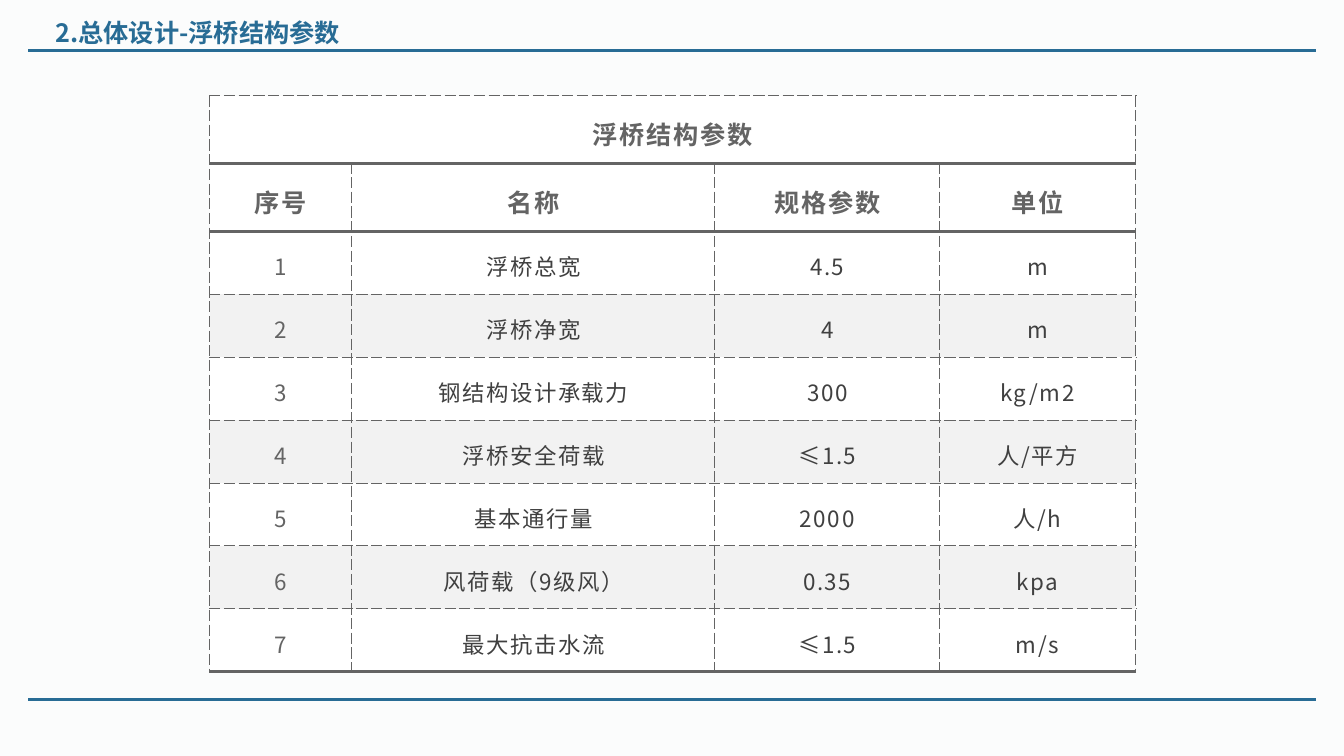
from lxml import etree
from pptx import Presentation
from pptx.dml.color import RGBColor
from pptx.enum.shapes import MSO_CONNECTOR
from pptx.enum.text import MSO_ANCHOR, MSO_AUTO_SIZE, PP_ALIGN
from pptx.oxml.ns import qn
from pptx.util import Inches, Pt

STRAIGHT = MSO_CONNECTOR.STRAIGHT
MIDDLE = MSO_ANCHOR.MIDDLE
NO_AUTOFIT = MSO_AUTO_SIZE.NONE
LEFT, CENTER = PP_ALIGN.LEFT, PP_ALIGN.CENTER

BACKGROUND = RGBColor(0xFB, 0xFC, 0xFC)
BLUE = RGBColor(0x28, 0x6C, 0x95)
GRAY = RGBColor(0x64, 0x64, 0x64)
DARK = RGBColor(0x40, 0x40, 0x40)
WHITE = RGBColor(0xFF, 0xFF, 0xFF)
BAND = RGBColor(0xF2, 0xF2, 0xF2)
FONT = "Noto Sans CJK SC"

PARAMETERS = [
    ("浮桥结构参数", "", "", ""),
    ("序号", "名称", "规格参数", "单位"),
    ("1", "浮桥总宽", "4.5", "m"),
    ("2", "浮桥净宽", "4", "m"),
    ("3", "钢结构设计承载力", "300", "kg/m2"),
    ("4", "浮桥安全荷载", "≤1.5", "人/平方"),
    ("5", "基本通行量", "2000", "人/h"),
    ("6", "风荷载（9级风）", "0.35", "kpa"),
    ("7", "最大抗击水流", "≤1.5", "m/s"),
]
HEADING_ROWS = 2
THICK_EDGES = {1, 2, len(PARAMETERS)}
COLUMN_WIDTHS = [1.41, 3.6, 2.23, 1.94]
HEADING_HEIGHT, DATA_HEIGHT = 0.61, 0.57
CELL_FORMAT = {
    "margin_left": Inches(0.19),
    "margin_right": Inches(0.19),
    "margin_top": Inches(0.12),
    "margin_bottom": Inches(0.12),
    "vertical_anchor": MIDDLE,
}
HEADING_FONT = {"size": Pt(18), "bold": True}
DATA_FONT = {"size": Pt(16), "bold": False}


def apply(target, values):
    for name, value in values.items():
        setattr(target, name, value)


class ParameterSlide:
    def __init__(self, presentation):
        self.slide = presentation.slides.add_slide(presentation.slide_layouts[5])
        self.slide.background.fill.solid()
        self.slide.background.fill.fore_color.rgb = BACKGROUND

    def rule(self, y):
        line = self.slide.shapes.add_connector(
            STRAIGHT, Inches(0.28), Inches(y), Inches(13.05), Inches(y))
        line.line.color.rgb = BLUE
        line.line.width = Pt(1.75)
        etree.SubElement(line._element.spPr, qn("a:effectLst"))

    def add_text(self, paragraph, text, color, font_format, spacing=0):
        run = paragraph.add_run()
        run.text = text
        apply(run.font, {"name": FONT, **font_format})
        run.font.color.rgb = color
        properties = run._r.get_or_add_rPr()
        properties.set("spc", str(spacing))
        etree.SubElement(properties, qn("a:ea"), typeface=FONT)

    def title(self, text):
        title = self.slide.shapes.title
        apply(title, {"left": Inches(0.45), "top": Inches(0.14),
                      "width": Inches(6.66), "height": Inches(0.4)})
        apply(title.text_frame, {"word_wrap": True, "auto_size": NO_AUTOFIT,
                                 "vertical_anchor": MIDDLE})
        paragraph = title.text_frame.paragraphs[0]
        apply(paragraph, {"alignment": LEFT, "line_spacing": 0.9})
        self.add_text(paragraph, text, BLUE, HEADING_FONT)

    def border(self, cell, side, thick):
        """Draw one cell edge: solid when thick, otherwise dashed."""
        line = etree.SubElement(cell._tc.get_or_add_tcPr(), qn(f"a:ln{side}"),
                                w=str(Pt(2.25 if thick else 0.75)))
        fill = etree.SubElement(line, qn("a:solidFill"))
        etree.SubElement(fill, qn("a:srgbClr"), val=str(GRAY))
        etree.SubElement(line, qn("a:prstDash"), val="solid" if thick else "sysDash")

    def cell(self, cell, text, row, column):
        heading = row < HEADING_ROWS
        for side, thick in (("L", False), ("R", False),
                            ("T", row in THICK_EDGES), ("B", row + 1 in THICK_EDGES)):
            self.border(cell, side, thick)
        cell.fill.solid()
        cell.fill.fore_color.rgb = BAND if not heading and row % 2 else WHITE
        apply(cell, CELL_FORMAT)
        if text:
            paragraph = cell.text_frame.paragraphs[0]
            apply(paragraph, {"alignment": CENTER, "line_spacing": 1.2})
            self.add_text(paragraph, text, GRAY if heading or column == 0 else DARK,
                          HEADING_FONT if heading else DATA_FONT, 130 if heading else 120)

    def table(self, rows):
        heights = [HEADING_HEIGHT if row < HEADING_ROWS else DATA_HEIGHT
                   for row in range(len(rows))]
        table = self.slide.shapes.add_table(
            len(rows), len(COLUMN_WIDTHS), Inches(2.08), Inches(0.95),
            Inches(sum(COLUMN_WIDTHS)), Inches(sum(heights))).table
        apply(table, {"first_row": False, "horz_banding": False})
        for column, width in zip(table.columns, COLUMN_WIDTHS):
            column.width = Inches(width)
        for row, height in zip(table.rows, heights):
            row.height = Inches(height)
        table.cell(0, 0).merge(table.cell(0, len(COLUMN_WIDTHS) - 1))
        for row, texts in enumerate(rows):
            for column, text in enumerate(texts):
                self.cell(table.cell(row, column), text, row, column)


def main():
    presentation = Presentation()
    presentation.slide_width = Inches(13.33)
    presentation.slide_height = Inches(7.5)
    page = ParameterSlide(presentation)
    for y in (0.5, 6.94):
        page.rule(y)
    page.title("2.总体设计-浮桥结构参数")
    page.table(PARAMETERS)
    presentation.save("out.pptx")


if __name__ == "__main__":
    main()
